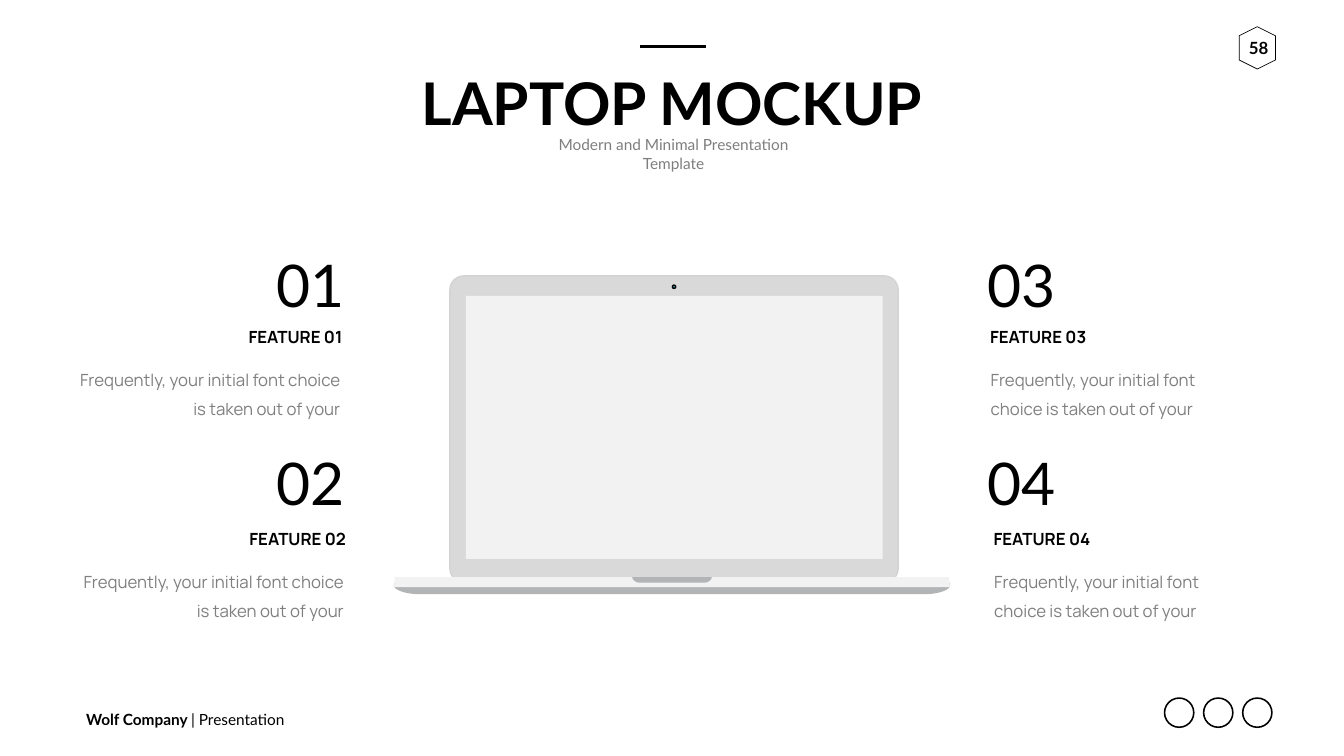
from dataclasses import dataclass

from lxml import etree
from pptx import Presentation
from pptx.dml.color import RGBColor
from pptx.enum import shapes, text
from pptx.oxml.ns import qn
from pptx.util import Inches, Pt

SHAPE = shapes.MSO_SHAPE
ALIGN = text.PP_ALIGN
ANCHOR = text.MSO_ANCHOR


@dataclass(frozen=True)
class Theme:
    ink: str = "000000"
    muted: str = "7F7F7F"
    rim: str = "D2D3D5"
    lid: str = "D9D9D9"
    panel: str = "F2F2F2"
    base: str = "B3B4B5"
    camera: tuple = ("2C2C2C", "0A0A0A", "000000", "2C99B4", "FFFFFF")
    heading: str = "Lato"
    body: str = "Manrope"
    display: int = 84
    copy: int = 24
    small: int = 22


T = Theme()
BLURB = "Frequently, your initial font choice is taken out of your"


def inches(box):
    return [Inches(v) for v in box]


def set_all(obj, values):
    for name, value in values.items():
        setattr(obj, name, value)


def write(sp, runs, size, font=T.heading, color=T.ink, align=ALIGN.LEFT,
          anchor=ANCHOR.TOP, wrap=False, inset=(0.1, 0.05), leading=None):
    """Fill one paragraph with (text, bold) runs."""
    tf = sp.text_frame
    across, down = inches(inset)
    set_all(tf, {"word_wrap": wrap, "vertical_anchor": anchor,
                 "auto_size": text.MSO_AUTO_SIZE.SHAPE_TO_FIT_TEXT,
                 "margin_left": across, "margin_right": across,
                 "margin_top": down, "margin_bottom": down})
    p = tf.paragraphs[0]
    p.alignment = align
    if leading:
        p.line_spacing = Pt(leading)
    for words, bold in runs:
        r = p.add_run()
        r.text = words
        set_all(r.font, {"name": font, "size": Pt(size), "bold": bold})
        r.font.color.rgb = RGBColor.from_string(color)


def add_text(s, box, words, size, bold=False, **style):
    write(s.add_textbox(*inches(box)), [(words, bold)], size, **style)


def paint(sp, fill=None, line=None, width=1):
    sp.shadow.inherit = False
    if fill:
        sp.fill.solid()
        sp.fill.fore_color.rgb = RGBColor.from_string(fill)
    else:
        sp.fill.background()
    if line:
        sp.line.color.rgb = RGBColor.from_string(line)
        sp.line.width = Pt(width)
    else:
        sp.line.fill.background()
    return sp


def add_shape(s, kind, box, **style):
    return paint(s.add_shape(kind, *inches(box)), **style)


def add_tray(s, box, curve, fill):
    """Flat-topped outline whose lower corners follow a mirrored Bezier curve."""
    x, y, w, h = box
    steps = 12
    corner = []
    for i in range(steps + 1):
        t = i / steps
        weights = ((1 - t) ** 3, 3 * t * (1 - t) ** 2, 3 * t * t * (1 - t), t ** 3)
        corner.append(tuple(sum(k * pt[axis] for k, pt in zip(weights, curve))
                            for axis in (0, 1)))
    left = [(0, 0)] + corner
    outline = left + [(w - px, py) for px, py in reversed(left)]
    points = [(Inches(x + px), Inches(y + py)) for px, py in outline]
    builder = s.build_freeform(*points[0])
    builder.add_line_segments(points[1:], close=True)
    paint(builder.convert_to_shape(), fill=fill)


def header(slide, box):
    x, y, w, h = box
    s = slide.shapes
    # Title
    title = s.title
    set_all(title, dict(zip(("left", "top", "width", "height"),
                            inches((x, y + 0.36, w, 1.51)))))
    write(title, [("LAPTOP MOCKUP", True)], T.display, align=ALIGN.CENTER)
    # Subtitle
    add_text(s, (x + 2.33, y + 1.75, 5.7, 0.77),
             "Modern and Minimal Presentation Template", T.small, color=T.muted,
             align=ALIGN.CENTER, anchor=ANCHOR.MIDDLE, wrap=True)
    # Accent bar
    bar = s.add_connector(shapes.MSO_CONNECTOR.STRAIGHT,
                          *inches((x + 4.52, y, x + 5.82, y)))
    bar.line.color.rgb = RGBColor.from_string(T.ink)
    bar.line.width = Pt(4.5)
    etree.SubElement(bar._element.spPr, qn("a:effectLst"))


def page_number(s, box):
    x, y, w, h = box
    badge = add_shape(s, SHAPE.HEXAGON, box, line=T.ink)
    badge.rotation = 90
    add_text(s, (x - 0.03, y + 0.06, 0.95, 0.61), "58", T.copy, bold=True,
             align=ALIGN.CENTER, inset=(0.2, 0.1))


def laptop(s, box):
    x, y, w, h = box
    # Base
    add_tray(s, (x, y + 6.09, w, 0.24),
             ((0, 0.1), (0, 0.14), (0.19, 0.24), (0.49, 0.24)), T.base)
    # Lid with its rim
    for gap, radius, fill in ((0, 0.29, T.rim), (0.03, 0.26, T.lid)):
        lid_w, lid_h = 8.92 - 2 * gap, 6.11 - 2 * gap
        lid = add_shape(s, SHAPE.ROUNDED_RECTANGLE,
                        (x + 1.08 + gap, y + gap, lid_w, lid_h), fill=fill)
        lid.adjustments[0] = radius / lid_h
    # Deck, notch and screen
    add_shape(s, SHAPE.RECTANGLE, (x, y + 5.99, w, 0.2), fill=T.panel)
    add_tray(s, (x + 4.71, y + 5.99, 1.58, 0.11),
             ((0, 0), (0.01, 0.06), (0.07, 0.11), (0.14, 0.11)), T.base)
    add_shape(s, SHAPE.RECTANGLE, (x + 1.41, y + 0.41, 8.27, 5.22), fill=T.panel)
    # Camera
    for size, fill in zip((0.09, 0.09, 0.06, 0.03, 0.01), T.camera):
        add_shape(s, SHAPE.OVAL, (x + 5.54 - size / 2, y + 0.23 - size / 2,
                                  size, size), fill=fill)


def feature(s, box, index, on_left, nudge):
    """Number, label and blurb; nudge offsets the texts under the number."""
    x, y, w, h = box
    label_w = 2.5
    number_x, label_x = (4.12, 5.65 - label_w) if on_left else (0.07, 0.13)
    side = ALIGN.RIGHT if on_left else ALIGN.LEFT
    add_text(s, (x + number_x, y, 1.57, 1.51), f"{index:02}", T.display,
             align=ALIGN.RIGHT if on_left else ALIGN.CENTER)
    x, y = x + nudge, y + nudge
    add_text(s, (x + label_x, y + 1.55, label_w, 0.5), f"FEATURE {index:02}", T.copy,
             bold=True, font=T.body, align=side, anchor=ANCHOR.MIDDLE, wrap=True)
    add_text(s, (x, y + 2.18, w, 1.36), BLURB, T.copy, font=T.body, color=T.muted,
             align=side, wrap=True, inset=(0.24, 0.12), leading=40.4)


def footer(s, box):
    x, y, w, h = box
    # Company line
    write(s.add_textbox(*inches((x, y + 0.2, 4.17, 0.47))),
          [("Wolf Company ", True), ("| Presentation", False)],
          T.small, anchor=ANCHOR.MIDDLE)
    # Plain rings for the social links
    ring, pitch = 0.58, 0.775
    for i in range(3):
        add_shape(s, SHAPE.OVAL, (x + w - ring - i * pitch, y + 0.02, ring, ring),
                  line=T.ink, width=2.25)


def main():
    prs = Presentation()
    prs.slide_width, prs.slide_height = inches((26.66, 15))
    slide = prs.slides.add_slide(prs.slide_layouts[5])
    s = slide.shapes

    footer(s, (1.61, 13.83, 23.62, 0.67))
    page_number(s, (24.52, 0.59, 0.84, 0.72))
    laptop(s.add_group_shape().shapes, (7.83, 5.46, 11, 6.33))
    header(slide, (8.18, 0.92, 10.3, 2.37))
    for column, (x, w) in enumerate(((1.24, 5.75), (19.41, 4.89))):
        for row in range(2):
            feature(s, (x, 4.88 + row * 3.94, w, 3.54), column * 2 + row + 1,
                    on_left=column == 0, nudge=row * 0.07)
    prs.save("out.pptx")


if __name__ == "__main__":
    main()
